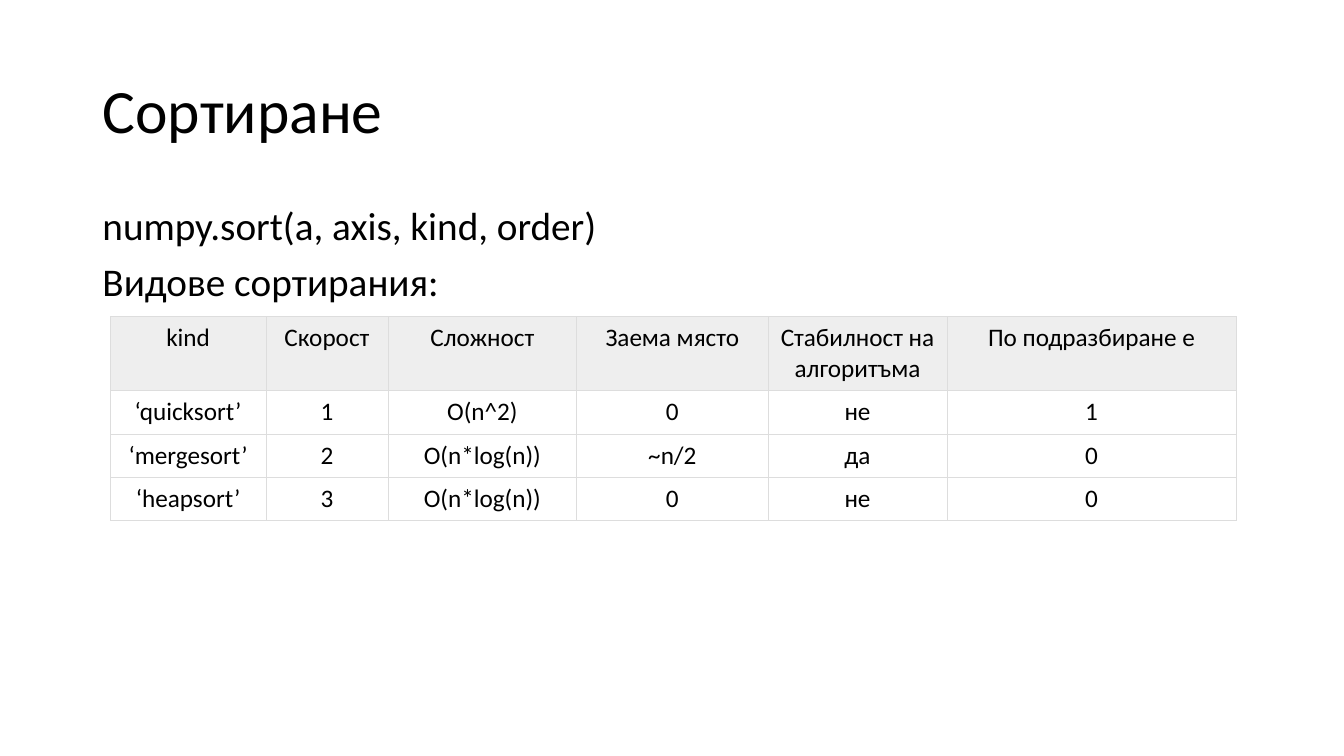
from dataclasses import dataclass

from lxml import etree
from pptx import Presentation
from pptx.dml.color import RGBColor
from pptx.enum.text import MSO_ANCHOR, MSO_AUTO_SIZE, PP_ALIGN
from pptx.util import Pt

LEFT, CENTER = PP_ALIGN.LEFT, PP_ALIGN.CENTER
TOP, MIDDLE = MSO_ANCHOR.TOP, MSO_ANCHOR.MIDDLE
NO_FIT = MSO_AUTO_SIZE.NONE
NS = "http://schemas.openxmlformats.org/drawingml/2006/main"
FONT = "Calibri"
COLORS = {"text": "000000", "head": "EEEEEE", "cell": "FFFFFF", "edge": "DDDDDD"}
PAD = Pt(4.5)


@dataclass
class Block:
    """Lines of text for one placeholder; lengths in points."""
    left: float
    top: float
    width: float
    height: float
    lines: list[str]
    size: float
    before: float
    anchor: MSO_ANCHOR


@dataclass
class Column:
    """A table column: its width in points, header and values."""
    width: float
    head: str
    values: list[str]


TITLE = Block(66, 28.75, 828, 104.4, ["Сортиране"], 44, 0, MIDDLE)
BODY = Block(66, 143.75, 828, 342.6,
             ["numpy.sort(a, axis, kind, order)", "Видове сортирания:"], 28, 10, TOP)
SORTS = [
    Column(111.2, "kind", ["‘quicksort’", "‘mergesort’", "‘heapsort’"]),
    Column(87.2, "Скорост", ["1", "2", "3"]),
    Column(134.8, "Сложност", ["O(n^2)", "O(n*log(n))", "O(n*log(n))"]),
    Column(136.6, "Заема място", ["0", "~n/2", "0"]),
    Column(128, "Стабилност на алгоритъма", ["не", "да", "не"]),
    Column(206.4, "По подразбиране е", ["1", "0", "0"]),
]


def style(para, size: float, align: PP_ALIGN) -> None:
    para.alignment = align
    para.font.name = FONT
    para.font.size = Pt(size)
    para.font.color.rgb = RGBColor.from_string(COLORS["text"])


def fill_block(shape, block: Block) -> None:
    shape.left, shape.top = Pt(block.left), Pt(block.top)
    shape.width, shape.height = Pt(block.width), Pt(block.height)
    frame = shape.text_frame
    frame.text = "\n".join(block.lines)
    frame.word_wrap = True
    frame.auto_size = NO_FIT
    frame.vertical_anchor = block.anchor
    for para in frame.paragraphs:
        # Plain lines: no bullet and no indent
        props = para._p.get_or_add_pPr()
        props.set("marL", "0")
        props.set("indent", "0")
        etree.SubElement(props, f"{{{NS}}}buNone")
        para.line_spacing = 0.9
        para.space_before = Pt(block.before)
        style(para, block.size, LEFT)


def add_edges(cell) -> None:
    props = cell._tc.get_or_add_tcPr()
    for side in "LRTB":
        line = etree.SubElement(props, f"{{{NS}}}ln{side}", w=str(Pt(0.5)))
        paint = etree.SubElement(line, f"{{{NS}}}solidFill")
        etree.SubElement(paint, f"{{{NS}}}srgbClr", val=COLORS["edge"])


def fill_cell(cell, text: str, color: str) -> None:
    cell.text = text
    cell.margin_left = cell.margin_right = PAD
    cell.margin_top = cell.margin_bottom = PAD
    add_edges(cell)
    cell.fill.solid()
    cell.fill.fore_color.rgb = RGBColor.from_string(COLORS[color])
    style(cell.text_frame.paragraphs[0], 18, CENTER)


def add_sorts(slide, cols: list[Column], left: float, top: float) -> None:
    heights = [51.6] + [30] * len(cols[0].values)
    width = sum(col.width for col in cols)
    frame = slide.shapes.add_table(len(heights), len(cols), Pt(left), Pt(top),
                                   Pt(width), Pt(sum(heights)))
    table = frame.table
    table.first_row = table.horz_banding = False
    for row, height in zip(table.rows, heights):
        row.height = Pt(height)
    for c, col in enumerate(cols):
        table.columns[c].width = Pt(col.width)
        for r, text in enumerate([col.head, *col.values]):
            fill_cell(table.cell(r, c), text, "cell" if r else "head")


def main() -> None:
    deck = Presentation()
    deck.slide_width, deck.slide_height = Pt(960), Pt(540)
    slide = deck.slides.add_slide(deck.slide_layouts[1])

    # Title and lead lines
    fill_block(slide.shapes.title, TITLE)
    fill_block(slide.placeholders[1], BODY)

    # Comparison of the sort kinds
    add_sorts(slide, SORTS, 78.8, 226)

    deck.save("out.pptx")


if __name__ == "__main__":
    main()
